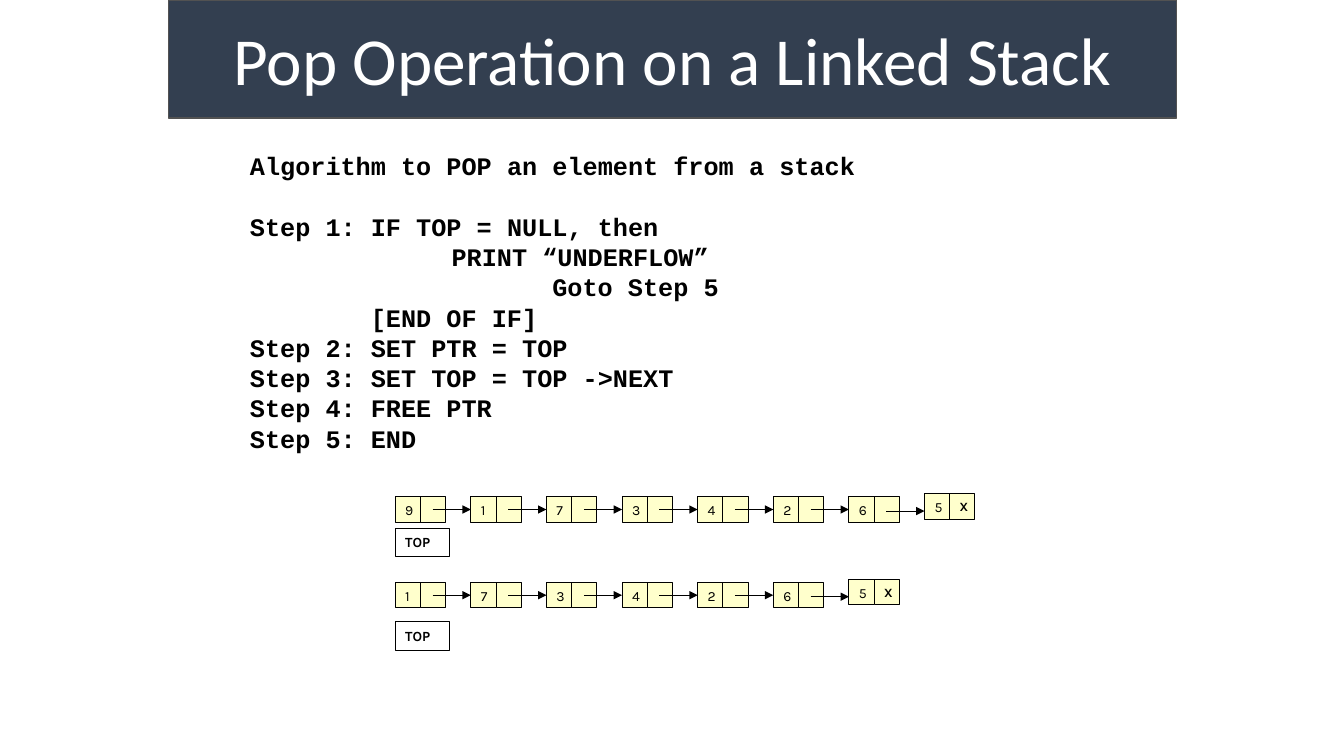
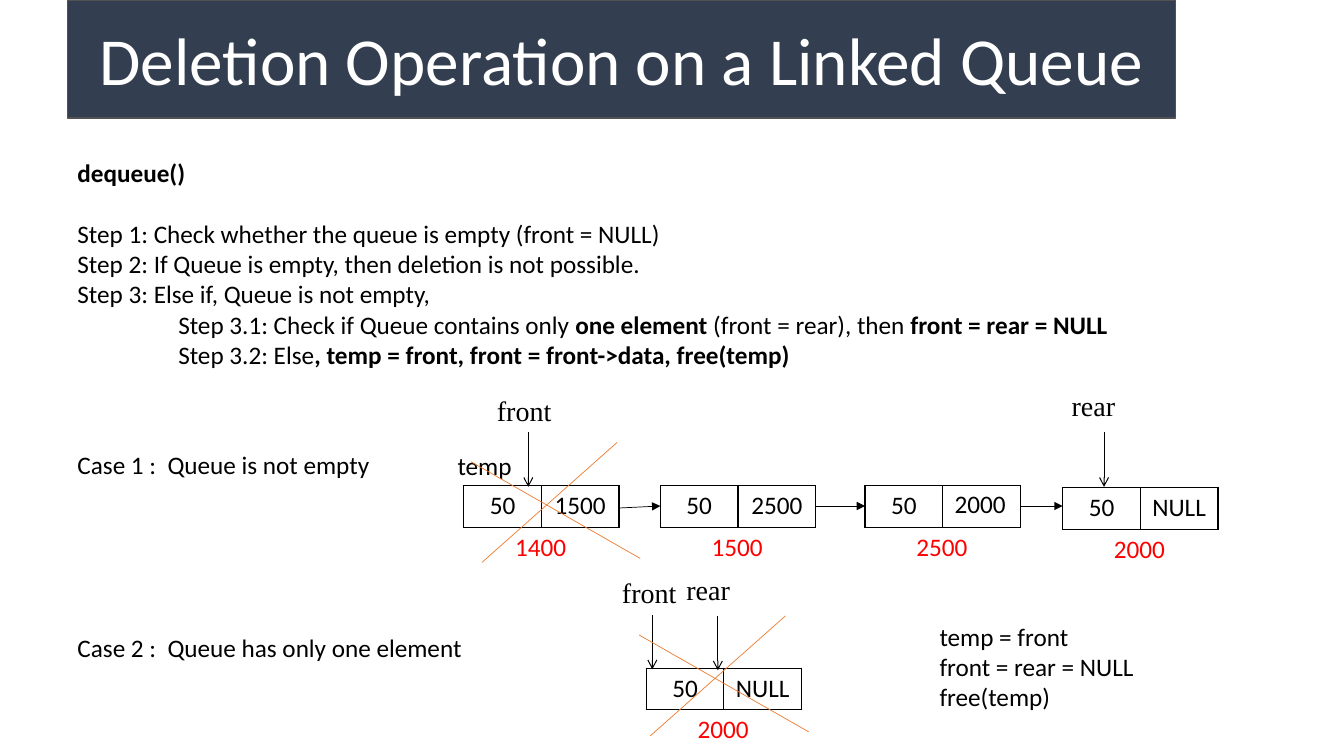
"""Build two slides on deleting from a linked stack and a linked queue."""
from dataclasses import dataclass
from itertools import pairwise
from typing import NamedTuple

from lxml.etree import SubElement
from pptx import Presentation
from pptx.dml.color import RGBColor
from pptx.enum.shapes import MSO_CONNECTOR as Connector, MSO_SHAPE as Shape
from pptx.enum.text import MSO_ANCHOR as Anchor, MSO_AUTO_SIZE as AutoSize, PP_ALIGN as Align
from pptx.oxml.ns import qn
from pptx.util import Emu, Pt

PX = 9144
COLOURS = {
    "band": "333F50",
    "band_line": "525252",
    "white": "FFFFFF",
    "ink": "000000",
    "node": "FFFFCC",
    "address": "FF0000",
    "cross": "ED7D31",
}
NODE, NODE_STEP = 25, 75
HALF, ROW = 77, 41


class Style(NamedTuple):
    font: str
    size: int
    colour: str = "ink"
    bold: bool = False


class Span(NamedTuple):
    text: str
    bold: bool = False


@dataclass(frozen=True)
class Line:
    spans: tuple[Span, ...]
    indent: int = 0
    before: int = 0


@dataclass(frozen=True)
class Stack:
    values: str
    top: int
    label_top: int


@dataclass(frozen=True)
class QueueNode:
    left: int
    top: int
    data: str
    link: str
    address: str
    wire_drop: int = 20


@dataclass(frozen=True)
class Pointer:
    name: str
    left: int
    top: int
    width: int
    arrow_left: int
    arrow_top: int


TITLE = Style("Calibri", 48, "white")
CODE = Style("Courier New", 18, bold=True)
BODY = Style("Calibri", 18)
ADDRESS = Style("Calibri", 18, "address")
POINTER = Style("Times New Roman", 20)
VALUE = Style("Karla", 10)
STACK_TOP = Style("Karla", 10, bold=True)
END_MARK = Style("Karla", 9, bold=True)

POP_STEPS = (
    Line((Span("Algorithm to POP an element from a stack"),)),
    Line((Span("Step 1: IF TOP = NULL, then"),), before=22),
    Line((Span("PRINT “UNDERFLOW”"),), indent=200),
    Line((Span("Goto Step 5"),), indent=300),
    Line((Span("[END OF IF]"),), indent=120),
    Line((Span("Step 2: SET PTR = TOP"),)),
    Line((Span("Step 3: SET TOP = TOP ->NEXT"),)),
    Line((Span("Step 4: FREE PTR"),)),
    Line((Span("Step 5: END"),)),
)
DEQUEUE_STEPS = (
    Line((Span("dequeue()", True),)),
    Line((Span("Step 1: Check whether the queue is empty (front = NULL)"),), before=22),
    Line((Span("Step 2: If Queue is empty, then deletion is not possible."),)),
    Line((Span("Step 3: Else if, Queue is not empty,"),)),
    Line((
        Span("Step 3.1: Check if Queue contains only "),
        Span("one element ", True),
        Span("(front = rear), then "),
        Span("front = rear = NULL", True),
    ), indent=100),
    Line((
        Span("Step 3.2: Else"),
        Span(", temp = front, front = front->data, free(temp)", True),
    ), indent=100),
)
FREE_STEPS = tuple(
    Line((Span(text),)) for text in ("temp = front", "front = rear = NULL", "free(temp)")
)
STACKS = (Stack("91734265", 493, 524), Stack("1734265", 578, 617))
QUEUE = (
    QueueNode(460, 482, "50", "1500", "1400", 22),
    QueueNode(655, 482, "50", "2500", "1500"),
    QueueNode(858, 482, "50", "", "2500"),
    QueueNode(1054, 484, "50", "NULL", "2000"),
)
LONE_NODE = QueueNode(641, 663, "50", "NULL", "2000")
POINTERS = (
    Pointer("front", 483, 385, 82, 524, 429),
    Pointer("rear", 1053, 381, 64, 1095, 429),
    Pointer("front", 607, 566, 75, 647, 610),
    Pointer("rear", 671, 563, 64, 712, 611),
)


def px(*lengths: int) -> list[Emu]:
    """Turn px lengths into EMU."""
    return [Emu(length * PX) for length in lengths]


def rgb(name: str) -> RGBColor:
    """Look up a named colour."""
    return RGBColor.from_string(COLOURS[name])


def format_font(font, style: Style) -> None:
    """Apply a text style to a font."""
    font.name, font.size, font.bold = style.font, Pt(style.size), style.bold
    font.color.rgb = rgb(style.colour)


def write(frame, text: str, style: Style, align=Align.LEFT, anchor=Anchor.TOP) -> None:
    """Put one formatted paragraph in a text frame."""
    frame.text = text
    frame.vertical_anchor = anchor
    para = frame.paragraphs[0]
    para.alignment = align
    for span in para.runs:
        format_font(span.font, style)


def add_title(page, text: str, left: int, width: int) -> None:
    """Turn the title placeholder into the dark band."""
    band = page.shapes.title
    band.left, band.top, band.width, band.height = px(left, 0, width, 117)
    band.fill.solid()
    band.fill.fore_color.rgb = rgb("band")
    band.line.color.rgb = rgb("band_line")
    band.line.width = Pt(1)
    write(band.text_frame, text, TITLE, Align.CENTER, Anchor.MIDDLE)
    band.text_frame.auto_size = AutoSize.NONE


def add_label(page, text: str, style: Style, left: int, top: int, width: int, height: int = 40) -> None:
    """Add a one-line text box."""
    box = page.shapes.add_textbox(*px(left, top, width, height))
    box.text_frame.word_wrap = True
    write(box.text_frame, text, style)


def add_lines(page, lines: tuple[Line, ...], style: Style, left: int, top: int,
              width: int, height: int) -> None:
    """Add a text box with several indented lines."""
    frame = page.shapes.add_textbox(*px(left, top, width, height)).text_frame
    frame.word_wrap = True
    for index, line in enumerate(lines):
        para = frame.add_paragraph() if index else frame.paragraphs[0]
        para.space_before = Pt(line.before)
        if line.indent:
            para._p.get_or_add_pPr().set("marL", str(line.indent * PX))
        for part in line.spans:
            span = para.add_run()
            span.text = part.text
            format_font(span.font, style._replace(bold=style.bold or part.bold))


def add_wire(shapes, ends: tuple[int, int, int, int], width: float,
             colour: str = "ink", head: str = ""):
    """Draw a straight line with an optional arrowhead."""
    wire = shapes.add_connector(Connector.STRAIGHT, *px(*ends))
    wire.line.color.rgb = rgb(colour)
    wire.line.width = Pt(width)
    properties = wire.element.spPr
    if head:
        SubElement(properties.find(qn("a:ln")), qn("a:tailEnd"), type=head)
    SubElement(properties, qn("a:effectLst"))
    return wire


def add_box(shapes, text: str, style: Style, left: int, top: int, width: int = NODE,
            height: int = NODE, fill: str = "node", anchor=Anchor.TOP):
    """Draw a thin-lined rectangle."""
    box = shapes.add_shape(Shape.RECTANGLE, *px(left, top, width, height))
    box.shadow.inherit = False
    if fill:
        box.fill.solid()
        box.fill.fore_color.rgb = rgb(fill)
    else:
        box.fill.background()
    box.line.color.rgb = rgb("ink")
    box.line.width = Pt(0.75)
    write(box.text_frame, text, style, anchor=anchor)
    return box


def add_stack(page, stack: Stack) -> None:
    """Draw a linked stack with its TOP label."""
    shapes = page.shapes.add_group_shape().shapes
    last = len(stack.values) - 1
    for index, value in enumerate(stack.values):
        left = 392 + index * NODE_STEP
        top = stack.top - 3 if index == last else stack.top
        data = add_box(shapes, value, VALUE, left, top)
        add_box(shapes, "X" if index == last else "", END_MARK, left + NODE, top)
        if index:
            wire_top = stack.top + (14 if index == last else 12)
            wire = add_wire(shapes, (left - 38, wire_top, left, wire_top), 0.75, head="triangle")
            if index < last:
                wire.end_connect(data, 1)
                wire.begin_y = wire.end_y
    add_box(shapes, "TOP", STACK_TOP, 392, stack.label_top, 54, 28, "", Anchor.MIDDLE)


def add_queue_node(page, node: QueueNode) -> None:
    """Draw a queue node as a table with its address below."""
    table = page.shapes.add_table(1, 2, *px(node.left, node.top, 2 * HALF, ROW)).table
    table.first_row = table.horz_banding = False
    for cell, text in zip(table.rows[0].cells, (node.data, node.link)):
        write(cell.text_frame, text, BODY, Align.CENTER)
        properties = cell._tc.get_or_add_tcPr()
        for side in ("lnL", "lnR", "lnT", "lnB"):
            border = SubElement(properties, qn(f"a:{side}"), w=str(Pt(1)))
            SubElement(SubElement(border, qn("a:solidFill")), qn("a:srgbClr"), val=COLOURS["ink"])
        cell.fill.background()
    add_label(page, node.address, ADDRESS, node.left + 41, node.top + 40, 71)


def add_pointer(page, pointer: Pointer) -> None:
    """Draw a named pointer with its arrow."""
    add_label(page, pointer.name, POINTER, pointer.left, pointer.top, pointer.width, 44)
    left, top = pointer.arrow_left, pointer.arrow_top
    add_wire(page.shapes, (left, top, left, top + 54), 0.75, head="arrow")


def add_cross(page, left: int, top: int) -> None:
    """Cross out a removed node."""
    shapes = page.shapes.add_group_shape().shapes
    for x1, y1, x2, y2 in ((0, 19, 168, 115), (145, 0, 11, 119)):
        add_wire(shapes, (left + x1, top + y1, left + x2, top + y2), 0.5, "cross")


def build_stack_page(page) -> None:
    """Fill the stack slide."""
    add_title(page, "Pop Operation on a Linked Stack", 167, 1000)
    for stack in STACKS:
        add_stack(page, stack)
    add_lines(page, POP_STEPS, CODE, 238, 144, 908, 313)


def build_queue_page(page) -> None:
    """Fill the queue slide."""
    add_title(page, "Deletion Operation on a Linked Queue", 67, 1099)
    add_label(page, "Case 1 :  Queue is not empty", BODY, 67, 441, 314)
    add_label(page, "Case 2 :  Queue has only one element", BODY, 67, 622, 407)
    for node in (*QUEUE, LONE_NODE):
        add_queue_node(page, node)
    add_label(page, "2000", BODY, 937, 480, 71)
    add_label(page, "temp", BODY, 444, 442, 74)
    for node, following in pairwise(QUEUE):
        ends = (node.left + 2 * HALF, node.top + node.wire_drop, following.left, 502)
        add_wire(page.shapes, ends, 0.5, head="triangle")
    for pointer in POINTERS:
        add_pointer(page, pointer)
    for left, top in ((467, 439), (634, 611)):
        add_cross(page, left, top)
    add_lines(page, FREE_STEPS, BODY, 922, 611, 230, 101)
    add_lines(page, DEQUEUE_STEPS, BODY, 67, 151, 1070, 283)


def main() -> None:
    """Build and save the deck."""
    deck = Presentation()
    deck.slide_width, deck.slide_height = px(1333, 750)
    for build in (build_stack_page, build_queue_page):
        build(deck.slides.add_slide(deck.slide_layouts[5]))
    deck.save("out.pptx")


if __name__ == "__main__":
    main()
